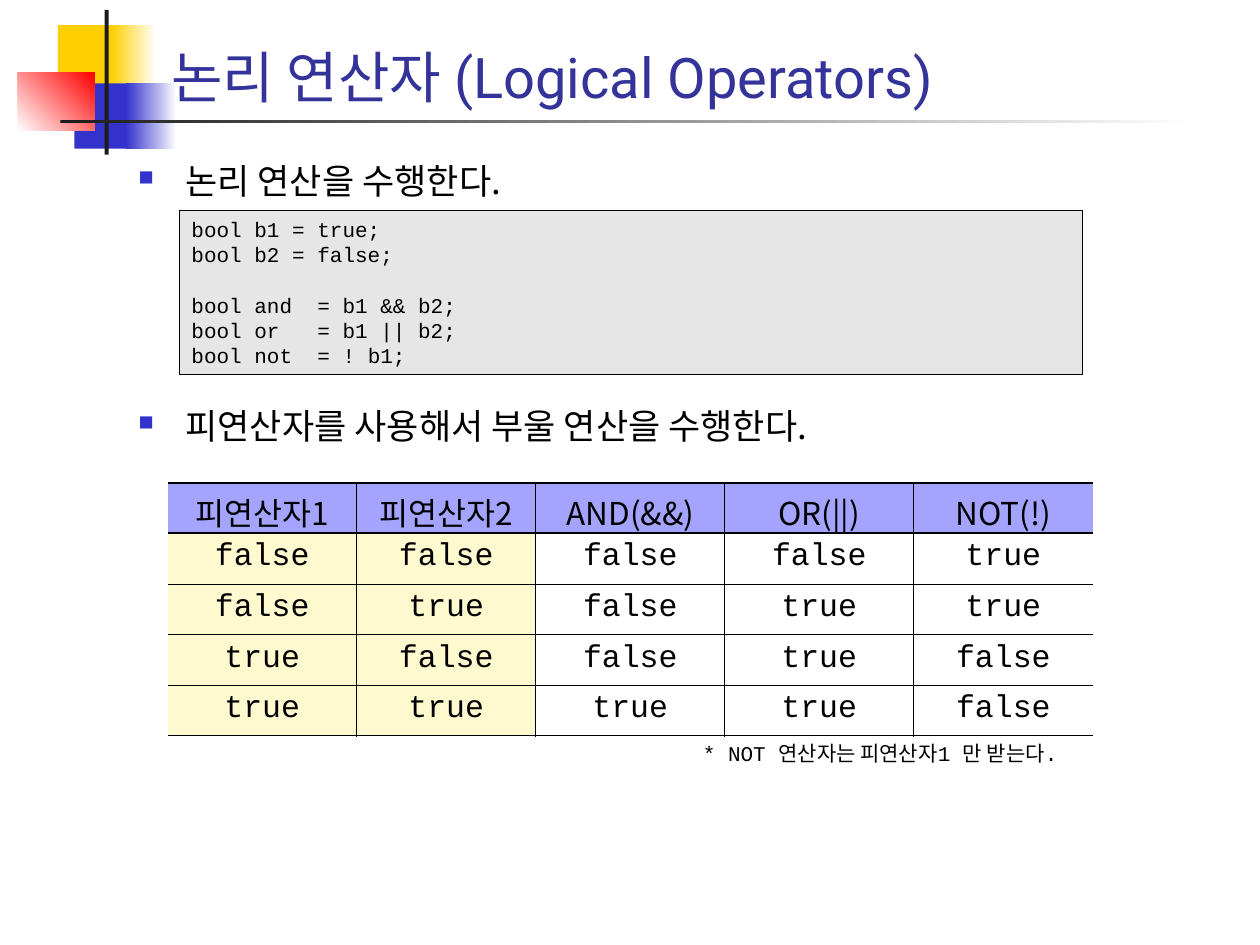
from dataclasses import dataclass

from lxml import etree
from pptx import Presentation
from pptx import util as u
from pptx.dml.color import RGBColor
from pptx.enum import shapes, text
from pptx.oxml import ns

Cm, Pt = u.Cm, u.Pt


@dataclass(frozen=True)
class Theme:
    title: str = "333399"
    ink: str = "000000"
    yellow: str = "FFCF01"
    blue: str = "3333CC"
    red: str = "FF0000"
    white: str = "FFFFFF"
    rule: str = "1C1C1C"
    code_fill: str = "E6E6E6"
    header_fill: str = "A4A4FE"
    operand_fill: str = "FEF9CE"
    sans: str = "Roboto"
    korean: str = "Noto Sans CJK KR"
    mono: str = "Courier New"
    title_size: int = 32
    body_size: int = 20
    table_size: int = 18
    code_size: int = 12
    thin: float = 0.45
    thick: float = 1.08


theme = Theme()


def style(para, size, face, color=theme.ink):
    """Set the paragraph's font, with the Korean face for Hangul."""
    font = para.font
    font.size, font.name = Pt(size), face
    font.color.rgb = RGBColor.from_string(color)
    latin = para._p.pPr.find(ns.qn("a:defRPr")).find(ns.qn("a:latin"))
    east_asian = etree.Element(ns.qn("a:ea"), typeface=theme.korean)
    latin.addnext(east_asian)


def add_child(parent, tag, **attributes):
    return etree.SubElement(
        parent, ns.qn(tag), {name: str(value) for name, value in attributes.items()}
    )


deck = Presentation()
deck.slide_width, deck.slide_height = Cm(25.4), Cm(19.05)
page = deck.slides.add_slide(deck.slide_layouts[6])

# Corner ornament: left, top, width, height, start colour, end colour, angle
ornament = [
    (1.17, 0.51, 1.22, 1.32, theme.yellow, None, 0),
    (2.24, 0.51, 0.91, 1.32, theme.yellow, theme.white, 0),
    (1.5, 1.68, 1.17, 1.32, theme.blue, None, 0),
    (2.54, 1.68, 1.02, 1.32, theme.blue, theme.white, 0),
    (0.36, 1.47, 1.55, 1.17, theme.white, theme.red, 45),
    (2.11, 0.2, 0.08, 2.92, theme.rule, None, 0),
    (1.22, 2.41, 22.86, 0.08, theme.rule, theme.white, 0),
]
for left, top, width, height, start, end, angle in ornament:
    block = page.shapes.add_shape(
        shapes.MSO_SHAPE.RECTANGLE, Cm(left), Cm(top), Cm(width), Cm(height)
    )
    block.shadow.inherit = False
    block.line.fill.background()
    if end is None:
        block.fill.solid()
        block.fill.fore_color.rgb = RGBColor.from_string(start)
    else:
        block.fill.gradient()
        block.fill.gradient_angle = angle
        for stop, color in zip(block.fill.gradient_stops, (start, end)):
            stop.color.rgb = RGBColor.from_string(color)

# Title
title = page.shapes.add_textbox(Cm(3.2), Cm(0.43), Cm(21.64), Cm(1.91)).text_frame
title.word_wrap = True
title.vertical_anchor = text.MSO_ANCHOR.BOTTOM
title.text = "논리 연산자 (Logical Operators)"
style(title.paragraphs[0], theme.title_size, theme.sans, theme.title)

# Bulleted statements, with room for the code between them
body = page.shapes.add_textbox(Cm(2.54), Cm(3.18), Cm(21.59), Cm(14.17)).text_frame
body.word_wrap = True
body.text = "논리 연산을 수행한다.\n피연산자를 사용해서 부울 연산을 수행한다."
for para in body.paragraphs:
    props = para._p.get_or_add_pPr()
    props.set("marL", str(Cm(0.95)))
    props.set("indent", str(-Cm(0.95)))
    add_child(add_child(props, "a:buClr"), "a:srgbClr", val=theme.blue)
    add_child(props, "a:buSzPct", val=60000)
    add_child(props, "a:buChar", char="■")
    para.line_spacing = 0.9
    style(para, theme.body_size, theme.korean)
body.paragraphs[1].space_before = Pt(118.5)

# Truth table
rows = [
    ("피연산자1", "피연산자2", "AND(&&)", "OR(||)", "NOT(!)"),
    ("false", "false", "false", "false", "true"),
    ("false", "true", "false", "true", "true"),
    ("true", "false", "false", "true", "false"),
    ("true", "true", "true", "true", "false"),
]
column_widths = [3.81, 3.61, 3.81, 3.81, 3.61]
last_row, last_column = len(rows) - 1, len(column_widths) - 1
table = page.shapes.add_table(
    len(rows), len(column_widths), Cm(3.38), Cm(9.73), Cm(18.65), Cm(5.1)
).table
table.first_row = table.horz_banding = False
for column, width in zip(table.columns, column_widths):
    column.width = Cm(width)
for r, row in enumerate(rows):
    table.rows[r].height = Cm(1.02)
    for c, value in enumerate(row):
        cell = table.cell(r, c)
        cell.text = value
        para = cell.text_frame.paragraphs[0]
        para.alignment = text.PP_ALIGN.CENTER
        style(para, theme.table_size, theme.mono if r else theme.korean)

        borders = {
            "a:lnL": theme.thin if c else 0,
            "a:lnR": theme.thin if c < last_column else 0,
            "a:lnT": theme.thick if r < 2 else theme.thin,
            "a:lnB": theme.thick if r in (0, last_row) else theme.thin,
        }
        for tag, weight in borders.items():
            border = add_child(cell._tc.get_or_add_tcPr(), tag, w=Pt(weight))
            if weight:
                add_child(add_child(border, "a:solidFill"), "a:srgbClr", val=theme.ink)
            else:
                add_child(border, "a:noFill")

        if r and c > 1:
            cell.fill.background()
        else:
            cell.fill.solid()
            cell.fill.fore_color.rgb = RGBColor.from_string(
                theme.operand_fill if r else theme.header_fill
            )

# Footnote under the table
note = page.shapes.add_textbox(Cm(13.92), Cm(14.81), Cm(8.1), Cm(0.76)).text_frame
note.word_wrap = False
note.text = "* NOT 연산자는 피연산자1 만 받는다."
style(note.paragraphs[0], theme.code_size, theme.mono)

# Code sample
code_lines = [
    "bool b1 = true;",
    "bool b2 = false;",
    "bool and \t= b1 && b2;",
    "bool or\t= b1 || b2;",
    "bool not\t= ! b1;",
]
code_box = page.shapes.add_shape(
    shapes.MSO_SHAPE.RECTANGLE, Cm(3.61), Cm(4.24), Cm(18.21), Cm(3.3)
)
code_box.shadow.inherit = False
code_box.fill.solid()
code_box.fill.fore_color.rgb = RGBColor.from_string(theme.code_fill)
code_box.line.color.rgb = RGBColor.from_string(theme.ink)
code_box.line.width = Pt(0.25)
code = code_box.text_frame
code.word_wrap = True
code.vertical_anchor = text.MSO_ANCHOR.TOP
code.text = "\n".join(code_lines)
line_height = Pt(14.4)
for para in code.paragraphs:
    tabs = add_child(para._p.get_or_add_pPr(), "a:tabLst")
    add_child(tabs, "a:tab", pos=Cm(2.54), algn="l")
    para.alignment = text.PP_ALIGN.LEFT
    para.line_spacing = line_height
    style(para, theme.code_size, theme.mono)
code.paragraphs[2].space_before = line_height

deck.save("out.pptx")
